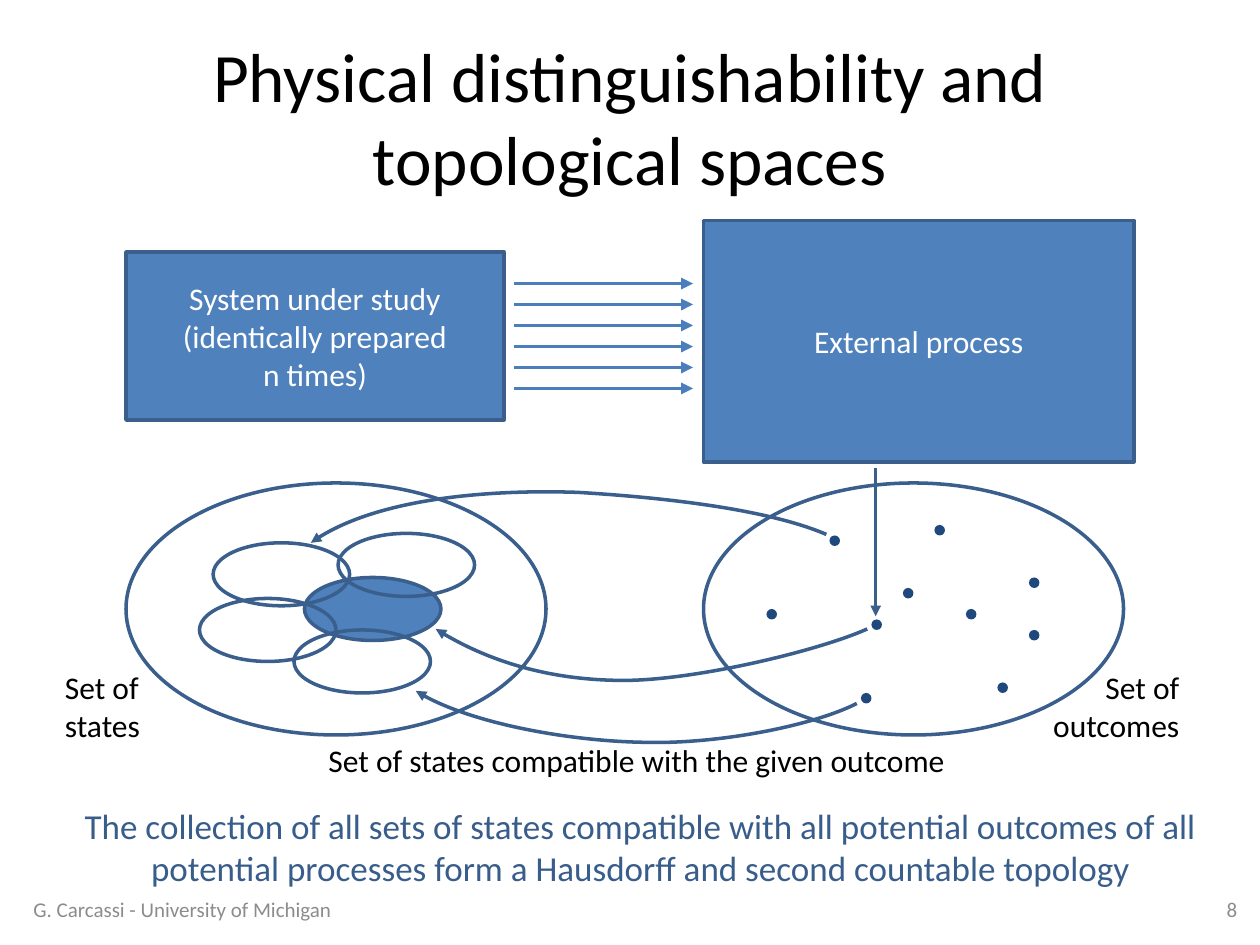
from dataclasses import dataclass

from lxml import etree
from pptx import Presentation
from pptx.dml.color import RGBColor
from pptx.enum.shapes import MSO_CONNECTOR, MSO_SHAPE
from pptx.enum.text import MSO_ANCHOR, PP_ALIGN
from pptx.oxml.ns import qn
from pptx.util import Inches, Pt

RECT, OVAL = MSO_SHAPE.RECTANGLE, MSO_SHAPE.OVAL
STRAIGHT = MSO_CONNECTOR.STRAIGHT
LEFT, CENTER, RIGHT = PP_ALIGN.LEFT, PP_ALIGN.CENTER, PP_ALIGN.RIGHT
TOP, MIDDLE = MSO_ANCHOR.TOP, MSO_ANCHOR.MIDDLE
COLS, ROWS = 120, 90  # grid of twelve units to the inch


@dataclass(frozen=True)
class Theme:
    font: str = "Calibri"
    fill: str = "4F81BD"
    edge: str = "3A5F8C"
    arrow: str = "4B7EBC"
    dot: str = "1F497D"
    accent: str = "385D8A"
    text: str = "000000"
    light: str = "FFFFFF"
    muted: str = "8C8C8C"
    title: float = 39.6
    body: float = 18
    conclusion: float = 20
    footer: float = 12
    edge_width: float = 2
    arrow_width: float = 2.25


T = Theme()


def rgb(code):
    return RGBColor.from_string(code)


def u(n):
    """Turn grid units into a length."""
    return Inches(n / 12)


def write(tf, text, size=T.body, color=T.text, align=LEFT, anchor=TOP, wrap=True):
    tf.word_wrap = wrap
    tf.vertical_anchor = anchor
    p = tf.paragraphs[0]
    p.text = text
    p.alignment = align
    for r in p.runs:
        r.font.name = T.font
        r.font.size = Pt(size)
        r.font.color.rgb = rgb(color)


def add_text(s, box, text, **fmt):
    write(s.shapes.add_textbox(*map(u, box)).text_frame, text, **fmt)


def paint(sp, fill=None, line=T.edge):
    sp.shadow.inherit = False
    if fill:
        sp.fill.solid()
        sp.fill.fore_color.rgb = rgb(fill)
    else:
        sp.fill.background()
    if line:
        sp.line.color.rgb = rgb(line)
        sp.line.width = Pt(T.edge_width)
    else:
        sp.line.fill.background()


def add_shape(s, kind, box, **colors):
    sp = s.shapes.add_shape(kind, *map(u, box))
    paint(sp, **colors)
    return sp


def add_head(sp):
    etree.SubElement(sp.line._get_or_add_ln(), qn("a:tailEnd"), type="triangle")


def add_arrow(s, start, end, color=T.edge, width=T.edge_width):
    sp = s.shapes.add_connector(STRAIGHT, *map(u, start + end))
    sp.line.color.rgb = rgb(color)
    sp.line.width = Pt(width)
    add_head(sp)
    etree.SubElement(sp._element.spPr, qn("a:effectLst"))


def add_curve(s, points):
    """Draw a Bézier arrow: a start, then two controls and an end per piece."""
    start, *rest = [(u(x), u(y)) for x, y in points]
    builder = s.shapes.build_freeform(*start)
    builder.add_line_segments(rest, close=False)
    sp = builder.convert_to_shape()
    path = sp._element.find(".//" + qn("a:path"))
    lines = path.findall(qn("a:lnTo"))
    for i in range(0, len(lines), 3):
        piece = etree.SubElement(path, qn("a:cubicBezTo"))
        for ln in lines[i:i + 3]:
            piece.append(ln[0])
            path.remove(ln)
    paint(sp)
    add_head(sp)


def add_process(s, box):
    """Two boxes joined by one arrow for each prepared copy of the system."""
    x, y, w, h = box
    blocks = [
        ((x + w - 41, y, 41, h), "External process"),
        ((x, y + 3, 36, 16), "System under study\n(identically prepared\nn times)"),
    ]
    for block, text in blocks:
        sp = add_shape(s, RECT, block, fill=T.fill)
        write(sp.text_frame, text, color=T.light, align=CENTER, anchor=MIDDLE)
    for row in range(6):
        level = y + 6 + 2 * row
        add_arrow(s, (x + 37, level), (x + 54, level), T.arrow, T.arrow_width)


def add_outcomes(s, box):
    x, y, w, h = box
    add_shape(s, OVAL, box)
    dots = [(19, 10), (6, 12), (25, 12), (31, 9), (12, 5),
            (22, 4), (31, 14), (15, 20), (28, 19), (16, 13)]
    for dx, dy in dots:
        add_shape(s, OVAL, (x + dx, y + dy, 1, 1), fill=T.dot, line=None)
    add_arrow(s, (x + 16.4, y - 1.4), (x + 16.4, y + 12.7))
    add_text(s, (x + w - 8, y + 17, 14.5, 8.5), "Set of\noutcomes",
             align=RIGHT, wrap=False)


def add_states(s, box):
    x, y, w, h = box
    add_shape(s, OVAL, box)
    sets = [(17, 9, T.fill), (8.3, 5.7, None), (20.2, 4.8, None),
            (7, 11, None), (16, 14, None)]
    for dx, dy, fill in sets:
        add_shape(s, OVAL, (x + dx, y + dy, 13, 6), fill=fill)
    add_text(s, (x - 7, y + 17, 9.6, 8.5), "Set of\nstates", wrap=False)


def add_mappings(s, box):
    """Curved arrows from outcomes back to their sets of states."""
    x, y, w, h = box
    curves = [
        [(70.6, 13.9), (65.9, 16), (54.2, 18.8), (47.4, 18.8),
         (40.6, 18.8), (34.2, 16.9), (29.5, 13.9)],
        [(69.6, 21), (65.5, 23.1), (56.4, 24.9), (49.4, 24.7),
         (42.4, 24.6), (32.3, 22.8), (27.6, 19.8)],
        [(66.7, 4.9), (61.1, 2.5), (51.4, 1.4), (43.1, 0.9),
         (34.7, 0.6), (23.4, 1.5), (17.6, 5.7)],
    ]
    for curve in curves:
        add_curve(s, [(x + dx, y + dy) for dx, dy in curve])
    add_text(s, (x + 18.1, y + h, 61.8, 4.8),
             "Set of states compatible with the given outcome", wrap=False)


def add_footer(s, box):
    x, y, w, h = box
    fmt = dict(size=T.footer, color=T.muted, anchor=MIDDLE)
    add_text(s, (x + w - 28, y, 28, h), "8", align=RIGHT, **fmt)
    add_text(s, (x, y, 38, h), "G. Carcassi - University of Michigan", **fmt)


def main():
    prs = Presentation()
    prs.slide_width, prs.slide_height = u(COLS), u(ROWS)
    s = prs.slides.add_slide(prs.slide_layouts[6])
    add_text(s, (6, 3.6, 108, 15), "Physical distinguishability and topological spaces",
             size=T.title, align=CENTER, anchor=MIDDLE)
    add_process(s, (12, 21, 96, 23))
    add_states(s, (12, 46, 40, 24))
    add_outcomes(s, (67, 46, 40, 24))
    add_mappings(s, (12, 46, 95, 24))
    add_text(s, (6, 76, 110, 9.2),
             "The collection of all sets of states compatible with all potential outcomes "
             "of all potential processes form a Hausdorff and second countable topology",
             size=T.conclusion, color=T.accent, align=CENTER)
    add_footer(s, (2, 84.2, 117, 4.8))
    prs.save("out.pptx")


if __name__ == "__main__":
    main()
